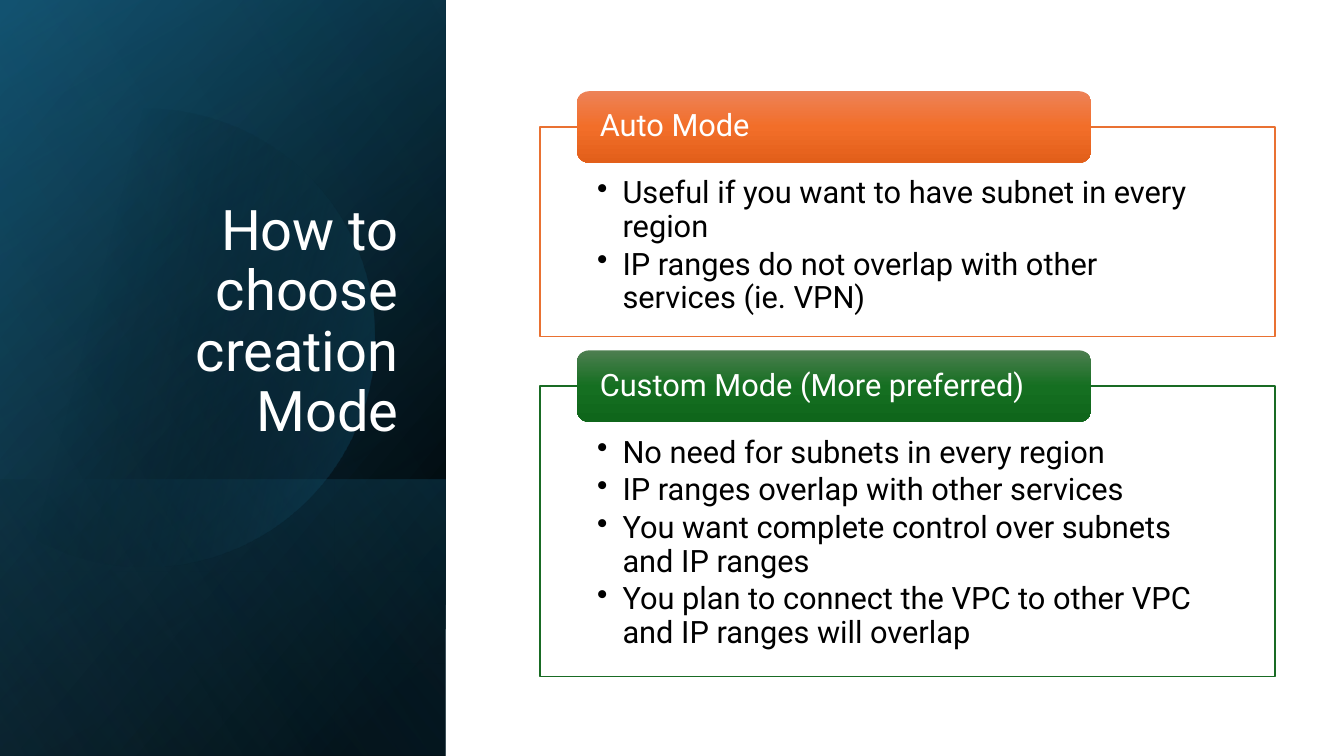
from dataclasses import dataclass
from math import acos, cos, pi, sin

from pptx import Presentation
from pptx.dml.color import RGBColor
from pptx.enum.shapes import MSO_SHAPE
from pptx.enum.text import MSO_ANCHOR, PP_ALIGN
from pptx.oxml import parse_xml
from pptx.oxml.ns import nsdecls
from pptx.util import Cm, Pt

RECT = MSO_SHAPE.RECTANGLE
ROUNDED = MSO_SHAPE.ROUNDED_RECTANGLE
TOP, MIDDLE, BOTTOM = MSO_ANCHOR.TOP, MSO_ANCHOR.MIDDLE, MSO_ANCHOR.BOTTOM
LEFT, RIGHT = PP_ALIGN.LEFT, PP_ALIGN.RIGHT


@dataclass(frozen=True)
class Theme:
    font: str = "Roboto"
    title_size: int = 40
    body_size: int = 22
    white: str = "FFFFFF"
    black: str = "000000"
    navy: str = "104862"
    teal: str = "156082"
    sky: str = "46B1E1"
    orange: str = "E97132"
    green: str = "196B24"
    orange_tab: tuple = ("ED8257", "F26E29", "E25F1A")
    green_tab: tuple = ("4D7E50", "156F21", "0F661B")


class SlideBuilder:
    def __init__(self, slide, theme):
        self.s = slide
        self.t = theme

    def gradient(self, sp, stops, angle):
        gs = "".join(
            f'<a:gs pos="{pos * 1000}"><a:srgbClr val="{color}">'
            f'<a:alpha val="{alpha * 1000}"/></a:srgbClr></a:gs>'
            for pos, color, alpha in stops
        )
        sp.fill.background()
        spPr = sp.element.spPr
        no_fill = spPr.find("{*}noFill")
        spPr.replace(no_fill, parse_xml(
            f'<a:gradFill {nsdecls("a")} rotWithShape="1"><a:gsLst>{gs}</a:gsLst>'
            f'<a:lin ang="{angle * 60000}" scaled="0"/></a:gradFill>'
        ))
        sp.line.fill.background()
        sp.shadow.inherit = False

    def panel(self, top, width, height, stops, angle):
        left = (width - height) / 2
        sp = self.s.shapes.add_shape(
            RECT, Cm(left), Cm(top - left), Cm(height), Cm(width))
        sp.rotation = 90
        sp.element.spPr.xfrm.set("flipH", "1")
        self.gradient(sp, stops, angle)

    def cut_circle(self, cx, cy, radius, stops, angle, steps=120):
        limit = acos(-cx / radius)
        angles = [limit * (2 * i / steps - 1) for i in range(steps + 1)]
        points = [(Cm(cx + radius * cos(a)), Cm(cy + radius * sin(a))) for a in angles]
        fb = self.s.shapes.build_freeform(*points[0])
        fb.add_line_segments(points[1:], close=True)
        self.gradient(fb.convert_to_shape(), stops, angle)

    def text(self, sp, lines, size, color, insets, anchor=TOP, align=LEFT,
             after=0, bullet=False):
        tf = sp.text_frame
        sides = ("margin_left", "margin_top", "margin_right", "margin_bottom")
        frame = dict(zip(sides, map(Cm, insets)), word_wrap=True, vertical_anchor=anchor)
        for name, value in frame.items():
            setattr(tf, name, value)
        for i, line in enumerate(lines):
            p = tf.add_paragraph() if i else tf.paragraphs[0]
            if bullet:
                pPr = p._p.get_or_add_pPr()
                pPr.set("marL", str(Cm(0.64)))
                pPr.set("indent", str(-Cm(0.64)))
                pPr.append(parse_xml(f'<a:buChar {nsdecls("a")} char="•"/>'))
            layout = {"alignment": align, "line_spacing": 0.9,
                      "space_before": Pt(0), "space_after": Pt(after)}
            for name, value in layout.items():
                setattr(p, name, value)
            r = p.add_run()
            r.text = line
            for name, value in {"name": self.t.font, "size": Pt(size)}.items():
                setattr(r.font, name, value)
            r.font.color.rgb = RGBColor.from_string(color)

    def title(self, left, top, width, height, text):
        sp = self.s.shapes.add_textbox(Cm(left), Cm(top), Cm(width), Cm(height))
        self.text(sp, [text], self.t.title_size, self.t.white,
                  (0.25, 0.13, 0.25, 0.13), BOTTOM, RIGHT)

    def card(self, left, top, width, height, color, tab_colors, heading, bullets):
        body = self.s.shapes.add_shape(RECT, Cm(left), Cm(top), Cm(width), Cm(height))
        body.shadow.inherit = False
        body.fill.solid()
        body.fill.fore_color.rgb = RGBColor.from_string(self.t.white)
        body.line.color.rgb = RGBColor.from_string(color)
        body.line.width = Pt(1)
        self.text(body, bullets, self.t.body_size, self.t.black,
                  (1.44, 1.27, 1.44, 0.43), after=3.3, bullet=True)

        tab = self.s.shapes.add_shape(
            ROUNDED, Cm(left + 0.93), Cm(top - 0.9), Cm(0.7 * width), Cm(1.8))
        self.gradient(tab, [(50 * i, c, 100) for i, c in enumerate(tab_colors)], 90)
        self.text(tab, [heading], self.t.body_size, self.t.white,
                  (0.49, 0, 0.49, 0), MIDDLE)


def main():
    prs = Presentation()
    prs.slide_width, prs.slide_height = Cm(33.87), Cm(19.05)
    t = Theme()
    s = SlideBuilder(prs.slides.add_slide(prs.slide_layouts[6]), t)

    side_w, side_h, band_h = 11.23, 19.05, 6.96
    s.panel(0, side_w, side_h, [(8, t.black, 100), (100, t.navy, 100)], 50)
    s.panel(0, side_w, side_h, [(0, t.black, 0), (99, t.teal, 46)], 30)
    s.panel(side_h - band_h, side_w, band_h,
            [(2, t.teal, 29), (100, t.black, 30)], 130)
    s.cut_circle(3.66, 8.51, 5.77, [(29, t.black, 0), (100, t.teal, 43)], 14)
    s.panel(0, side_w, side_h, [(0, t.black, 0), (99, t.sky, 11)], 120)
    s.title(1.63, 4.67, 8.66, 6.65, "How to choose creation Mode")

    cards = [
        (5.28, t.orange, t.orange_tab, "Auto Mode", [
            "Useful if you want to have subnet in every region",
            "IP ranges do not overlap with other services (ie. VPN)",
        ]),
        (7.32, t.green, t.green_tab, "Custom Mode (More preferred)", [
            "No need for subnets in every region",
            "IP ranges overlap with other services",
            "You want complete control over subnets and IP ranges",
            "You plan to connect the VPC to other VPC and IP ranges will overlap",
        ]),
    ]
    top, gap = 3.2, 1.25
    for height, *content in cards:
        s.card(13.61, top, 18.52, height, *content)
        top += height + gap

    prs.save("out.pptx")


if __name__ == "__main__":
    main()
